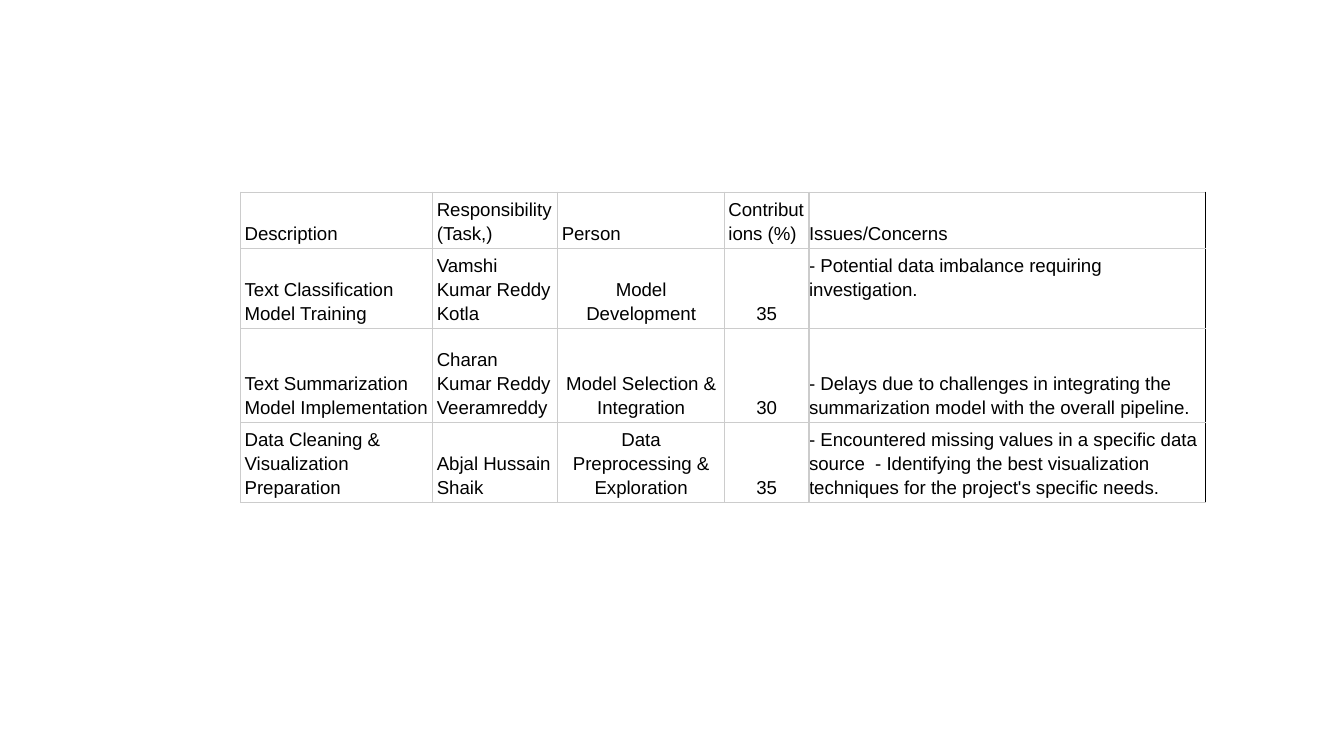
"""Build a slide with a table of project tasks, people and contributions."""
from lxml import etree
from pptx import Presentation
from pptx import util as u
from pptx.dml.color import RGBColor
from pptx.enum import text
from pptx.oxml.ns import qn

ROWS = [
    ("Description", "Responsibility (Task,)", "Person", "Contributions (%)", "Issues/Concerns"),
    ("Text Classification Model Training", "Vamshi Kumar Reddy Kotla",
     "Model Development", "35",
     "- Potential data imbalance requiring investigation."),
    ("Text Summarization Model Implementation", "Charan Kumar Reddy Veeramreddy",
     "Model Selection & Integration", "30",
     "- Delays due to challenges in integrating the summarization model "
     "with the overall pipeline."),
    ("Data Cleaning & Visualization Preparation", "Abjal Hussain Shaik",
     "Data Preprocessing & Exploration", "35",
     "- Encountered missing values in a specific data source  - Identifying the best "
     "visualization techniques for the project's specific needs."),
]
SLIDE_WIDTH = u.Inches(10)
SLIDE_HEIGHT = SLIDE_WIDTH * 9 // 16
COLUMN_WIDTHS = [1.43, 0.93, 1.24, 0.63, 2.95]
ROW_HEIGHTS = [0.38, 0.54, 0.7, 0.54]
LEFT, TOP = 1.79, 1.43
MARGIN, LINE_HEIGHT = 0.03, 0.18
CENTERED_COLUMNS = (2, 3)
ISSUES_COLUMN = 4
RAISED_CELL = (1, ISSUES_COLUMN)
BLACK, GREY = "000000", "CCCCCC"


def set_borders(cell, colors):
    properties = cell._tc.get_or_add_tcPr()
    for index, (side, color) in enumerate(colors.items()):
        line = etree.Element(qn(f"a:ln{side}"), w=str(u.Pt(0.75)))
        fill = etree.SubElement(line, qn("a:solidFill"))
        etree.SubElement(fill, qn("a:srgbClr"), val=color)
        properties.insert(index, line)


def fill_cell(cell, row, column, content):
    is_issue = column == ISSUES_COLUMN
    cell.fill.background()
    cell.vertical_anchor = text.MSO_ANCHOR.BOTTOM
    cell.margin_left = cell.margin_right = u.Inches(0 if is_issue else MARGIN)
    cell.margin_top = u.Inches(MARGIN)
    raised = LINE_HEIGHT if (row, column) == RAISED_CELL else 0
    cell.margin_bottom = u.Inches(MARGIN + raised)
    cell.text_frame.text = content
    paragraph = cell.text_frame.paragraphs[0]
    paragraph.line_spacing = 1.15
    if row and column in CENTERED_COLUMNS:
        paragraph.alignment = text.PP_ALIGN.CENTER
    font = paragraph.runs[0].font
    font.name, font.size, font.bold = "Arial", u.Pt(10), False
    font.color.rgb = RGBColor.from_string(BLACK)
    set_borders(cell, {"L": GREY, "R": BLACK if is_issue else GREY, "T": GREY, "B": GREY})


def main():
    presentation = Presentation()
    presentation.slide_width, presentation.slide_height = SLIDE_WIDTH, SLIDE_HEIGHT
    slide = presentation.slides.add_slide(presentation.slide_layouts[6])
    table = slide.shapes.add_table(
        len(ROWS), len(COLUMN_WIDTHS), u.Inches(LEFT), u.Inches(TOP),
        u.Inches(sum(COLUMN_WIDTHS)), u.Inches(sum(ROW_HEIGHTS))).table
    table.first_row = table.horz_banding = False
    for column, width in zip(table.columns, COLUMN_WIDTHS):
        column.width = u.Inches(width)
    for row, height in zip(table.rows, ROW_HEIGHTS):
        row.height = u.Inches(height)
    for row, contents in enumerate(ROWS):
        for column, content in enumerate(contents):
            fill_cell(table.cell(row, column), row, column, content)
    presentation.save("out.pptx")


if __name__ == "__main__":
    main()
